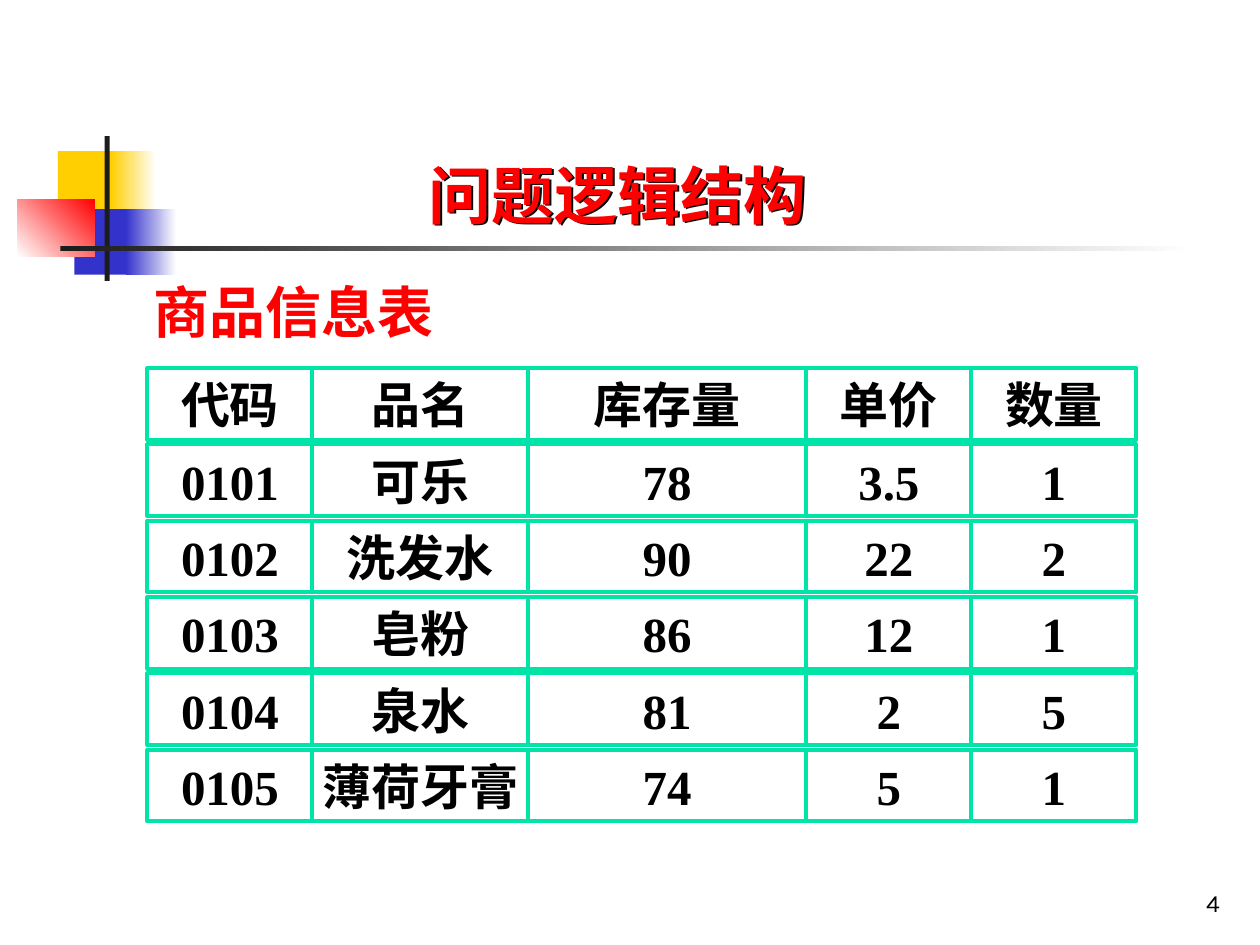
from pptx import Presentation
from pptx.dml.color import RGBColor
from pptx.enum.shapes import MSO_SHAPE
from pptx.enum.text import MSO_ANCHOR, MSO_AUTO_SIZE, PP_ALIGN
from pptx.oxml import parse_xml
from pptx.oxml.ns import nsdecls
from pptx.util import Inches, Pt

YELLOW = RGBColor(0xFF, 0xCF, 0x01)
BLUE = RGBColor(0x33, 0x33, 0xCC)
RED = RGBColor(0xFF, 0x00, 0x00)
DARK = RGBColor(0x1C, 0x1C, 0x1C)
WHITE = RGBColor(0xFF, 0xFF, 0xFF)
BLACK = RGBColor(0x00, 0x00, 0x00)
GREEN = RGBColor(0x00, 0xE4, 0xA8)
SERIF = "Times New Roman"


def write(frame, text, size, font, color, align, bold=True):
    """Put one formatted run into the first paragraph."""
    frame.word_wrap = True
    para = frame.paragraphs[0]
    para.alignment = align
    para.space_before = Pt(0)
    run = para.add_run()
    run.text = text
    run.font.size = Pt(size)
    run.font.name = font
    run.font.bold = bold
    run.font.color.rgb = color


def add_box(left, top, width, height):
    """Add a plain rectangle without a shadow."""
    box = shapes.add_shape(MSO_SHAPE.RECTANGLE, Inches(left), Inches(top),
                           Inches(width), Inches(height))
    box.shadow.inherit = False
    return box


prs = Presentation()
prs.slide_width, prs.slide_height = Inches(10), Inches(7.5)
slide = prs.slides.add_slide(prs.slide_layouts[5])
shapes = slide.shapes

# Corner blocks and rule: left, top, width, height, colour, end colour, angle
decor = [
    (0.46, 1.2, 0.48, 0.52, YELLOW, None, 0),
    (0.88, 1.2, 0.36, 0.52, YELLOW, WHITE, 0),
    (0.59, 1.66, 0.46, 0.52, BLUE, None, 0),
    (1, 1.66, 0.4, 0.52, BLUE, WHITE, 0),
    (0.14, 1.58, 0.61, 0.46, WHITE, RED, 45),
    (0.83, 1.08, 0.04, 1.15, DARK, None, 0),
    (0.48, 1.95, 9, 0.04, DARK, WHITE, 0),
]
for left, top, width, height, start, end, angle in decor:
    block = add_box(left, top, width, height)
    block.line.fill.background()
    if end is None:
        block.fill.solid()
        block.fill.fore_color.rgb = start
    else:
        block.fill.gradient()
        block.fill.gradient_angle = angle
        for stop, color in zip(block.fill.gradient_stops, (start, end)):
            stop.color.rgb = color

# Title; without a fill, its shadow falls from the text
title = shapes.title
title.left, title.top = Inches(2.13), Inches(1.19)
title.width, title.height = Inches(5.55), Inches(0.7)
title.fill.background()
title.text_frame.auto_size = MSO_AUTO_SIZE.NONE
title.text_frame.vertical_anchor = MSO_ANCHOR.TOP
write(title.text_frame, "问题逻辑结构", 36, SERIF, RED, PP_ALIGN.CENTER)
title._element.spPr.append(parse_xml(
    f'<a:effectLst {nsdecls("a")}><a:outerShdw dist="17961" dir="2700000">'
    '<a:srgbClr val="000000"/></a:outerShdw></a:effectLst>'))

# Table heading
head = shapes.add_textbox(Inches(1.12), Inches(2.15), Inches(3.74), Inches(0.64))
write(head.text_frame, "商品信息表", 32, "Arial", RED, PP_ALIGN.LEFT)

# Goods list: separate framed boxes, with a narrow gap between rows
rows = [
    ("代码", "品名", "库存量", "单价", "数量"),
    ("0101", "可乐", "78", "3.5", "1"),
    ("0102", "洗发水", "90", "22", "2"),
    ("0103", "皂粉", "86", "12", "1"),
    ("0104", "泉水", "81", "2", "5"),
    ("0105", "薄荷牙膏", "74", "5", "1"),
]
widths = [1.31, 1.71, 2.21, 1.31, 1.31]
pitch = (5.95 - 2.92) / (len(rows) - 1)
for r, row in enumerate(rows):
    for c, text in enumerate(row):
        box = add_box(1.17 + sum(widths[:c]), 2.92 + r * pitch, widths[c], 0.57)
        box.fill.background()
        box.line.color.rgb = GREEN
        box.line.width = Pt(2.25)
        frame = box.text_frame
        frame.margin_left = frame.margin_right = 0
        frame.vertical_anchor = MSO_ANCHOR.BOTTOM
        write(frame, text, 28, SERIF, BLACK, PP_ALIGN.CENTER)

# Page number
page = shapes.add_textbox(Inches(7.7), Inches(6.83), Inches(2.08), Inches(0.5))
page.text_frame.vertical_anchor = MSO_ANCHOR.BOTTOM
write(page.text_frame, "4", 14, "Karla", BLACK, PP_ALIGN.RIGHT, bold=False)

prs.save("out.pptx")
